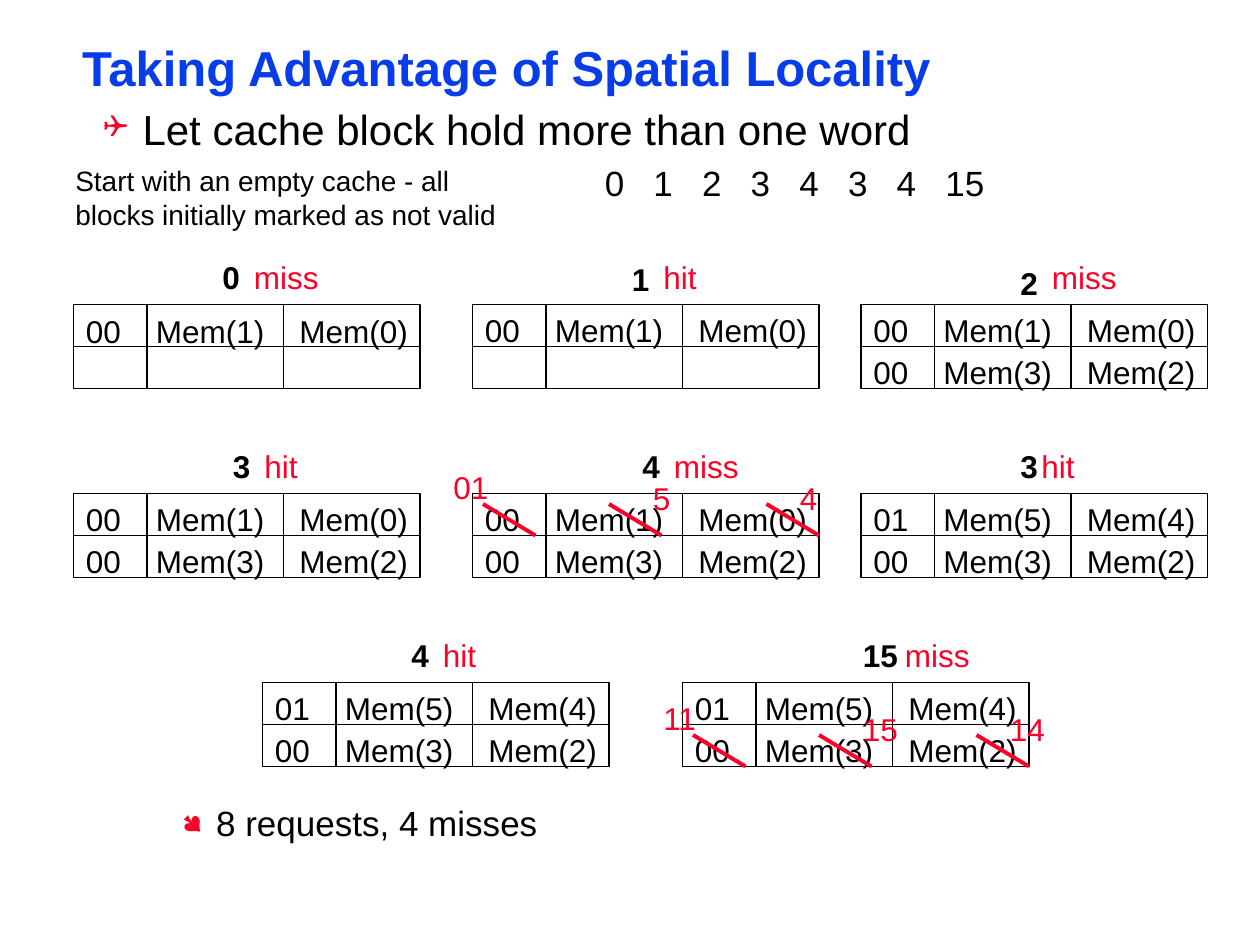
from lxml.etree import SubElement
from pptx import Presentation
from pptx.dml.color import RGBColor as Rgb
from pptx.enum.shapes import MSO_CONNECTOR as Conn, MSO_SHAPE as Kind
from pptx.oxml.ns import qn
from pptx.util import Pt

COLORS = {"blue": "063DE8", "red": "FC0128", "black": "000000"}

deck = Presentation()
deck.slide_width, deck.slide_height = Pt(720), Pt(540)
slide = deck.slides.add_slide(deck.slide_layouts[6])
shapes = slide.shapes


def write(text, x, y, w, h, size=18, color="black", bold=False,
          wrap=False, pad=(7.2, 3.6), bullet=None, indent=(0, 0), tabs=()):
    frame = shapes.add_textbox(Pt(x), Pt(y), Pt(w), Pt(h)).text_frame
    frame.word_wrap = wrap
    frame.margin_left = frame.margin_right = Pt(pad[0])
    frame.margin_top = frame.margin_bottom = Pt(pad[1])
    para = frame.paragraphs[0]
    para.text = text
    props = para._p.get_or_add_pPr()
    if bullet:
        props.set("marL", str(Pt(indent[0])))
        props.set("indent", str(Pt(indent[1])))
        tint = SubElement(props, qn("a:buClr"))
        SubElement(tint, qn("a:srgbClr"), val=COLORS["red"])
        SubElement(props, qn("a:buSzPct"), val="75000")
        SubElement(props, qn("a:buFont"), typeface="Wingdings")
        SubElement(props, qn("a:buChar"), char=bullet)
    if tabs:
        stops = SubElement(props, qn("a:tabLst"))
        for tab in tabs:
            SubElement(stops, qn("a:tab"), pos=str(Pt(tab)), algn="l")
    font = para.font
    font.name, font.size, font.bold = "Arial", Pt(size), bold
    font.color.rgb = Rgb.from_string(COLORS[color])
    return para


def rule(x1, y1, x2, y2, width=1, color="black"):
    line = shapes.add_connector(Conn.STRAIGHT, Pt(x1), Pt(y1), Pt(x2), Pt(y2))
    line.line.width = Pt(width)
    line.line.color.rgb = Rgb.from_string(COLORS[color])
    SubElement(line._element.spPr, qn("a:effectLst"))


# Title and introduction
slim = (5, 2.2)
title = write("Taking Advantage of Spatial Locality", 42, 23.8, 642, 33,
              28, "blue", True, wrap=True, pad=slim)
title.line_spacing = 0.87
lead = write("Let cache block hold more than one word", 54, 60, 618, 30, 24,
             wrap=True, pad=slim, bullet="❑", indent=(22.5, -22.5))
lead.line_spacing = 0.9
write("Start with an empty cache - all blocks initially marked as not valid",
      36, 90, 270, 46, 16, wrap=True)

# Request sequence
calls = [0, 1, 2, 3, 4, 3, 4, 15]
write("\t".join(map(str, calls)), 338.5, 88.7, 250, 30, 20, wrap=True,
      tabs=[27.8 * i for i in range(1, len(calls))])

# Cache states: left, top, label offset, label drop, gap, result, rows
first = ("00", "Mem(1)", "Mem(0)")
second = ("00", "Mem(3)", "Mem(2)")
third = ("01", "Mem(5)", "Mem(4)")
states = [
    (42, 174, 78, 0, 18, "miss", [first]),
    (270, 174, 84, 1, 18, "hit", [first]),
    (492, 174, 84, 3.4, 18, "miss", [first, second]),
    (42, 282, 84, 0, 18, "hit", [first, second]),
    (270, 282, 90, 0, 18, "miss", [first, second]),
    (492, 282, 84, 0, 12, "hit", [third, second]),
    (150, 390, 78, 0, 18, "hit", [third, second]),
    (390, 390, 96, 0, 24, "miss", [third, second]),
]
cols = [(0, 42), (42, 78), (120, 78)]  # offset, width
row_h = 24
wide = {"miss": 52, "hit": 34}

for call, (x, y, shift, drop, gap, result, rows) in zip(calls, states):
    for dx, width in cols:
        box = shapes.add_shape(Kind.RECTANGLE, Pt(x + dx), Pt(y),
                               Pt(width), Pt(2 * row_h))
        box.shadow.inherit = False
        box.fill.background()
        box.line.width = Pt(1)
        box.line.color.rgb = Rgb.from_string(COLORS["black"])
        rule(x + dx, y + row_h, x + dx + width, y + row_h)
    for r, row in enumerate(rows):
        nudge = 1 if call == 0 else 0
        write("\t".join(row), x, y + r * row_h + nudge, 199, 28.8,
              tabs=(40, 122))
    name = str(call)
    write(name, x + shift, y - 30 + drop, 14.4 + 10 * len(name), 28.8, bold=True)
    write(result, x + shift + gap, y - 30, wide[result], 28.8, color="red")

# Replaced entries: left and top of the row, new values
swaps = [(270, 282, ("01", "5", "4")), (390, 414, ("11", "15", "14"))]
marks = [(6, -18, -18), (78, 96, -12), (168, 180, -12)]
for x, y, values in swaps:
    for text, (start, dx, dy) in zip(values, marks):
        left, top = x + start, y + 6
        rule(left, top, left + 30, top + 18, 2.25, "red")
        write(text, x + dx, y + dy, 14.4 + 10 * len(text), 28.8, color="red")

# Summary
write("8 requests, 4 misses", 60, 456, 642, 28, 20, wrap=True, pad=slim,
      bullet="●", indent=(58.5, -19.5))

deck.save("out.pptx")
